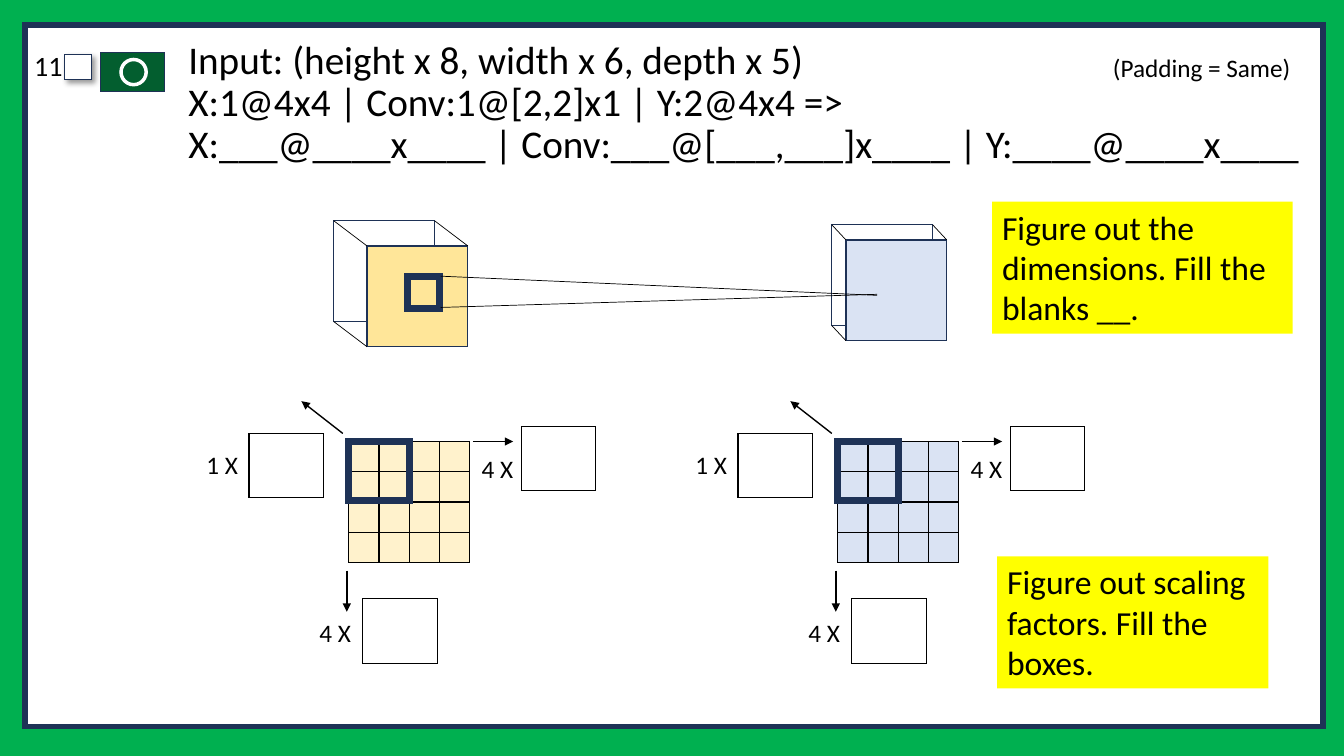
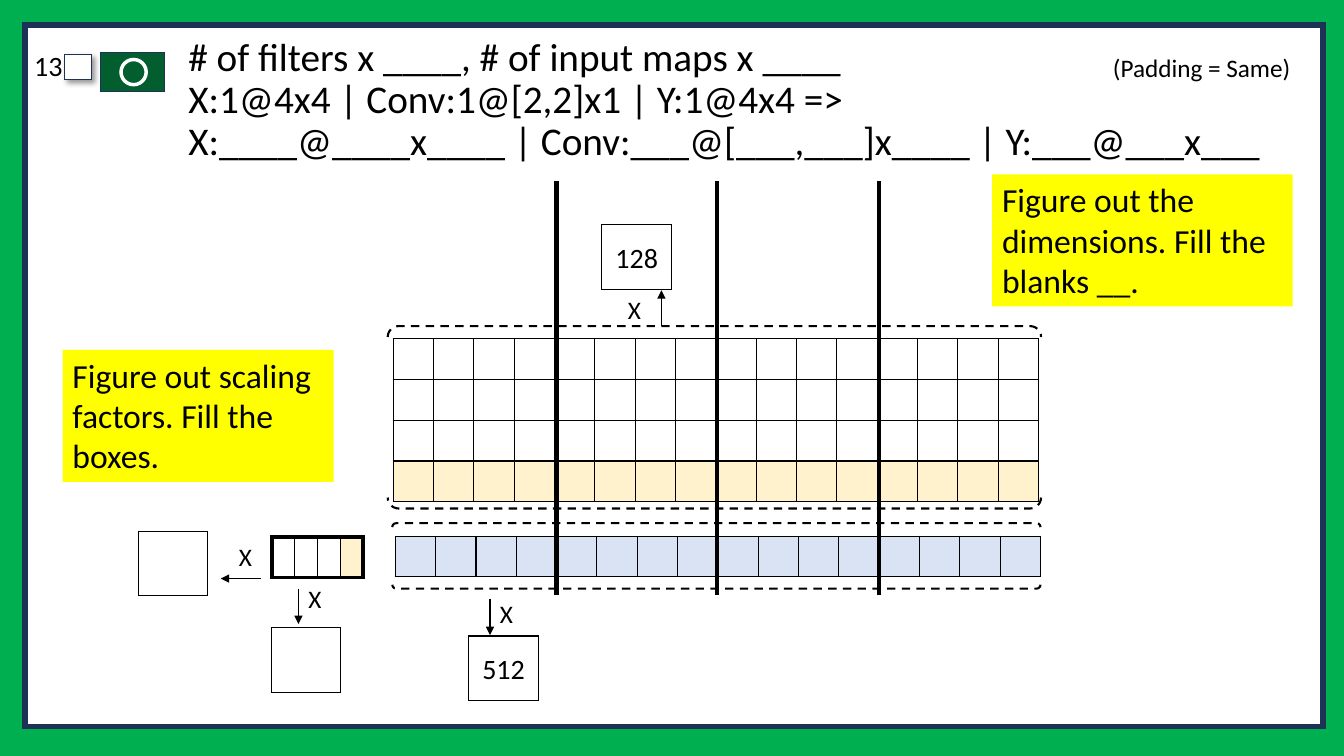
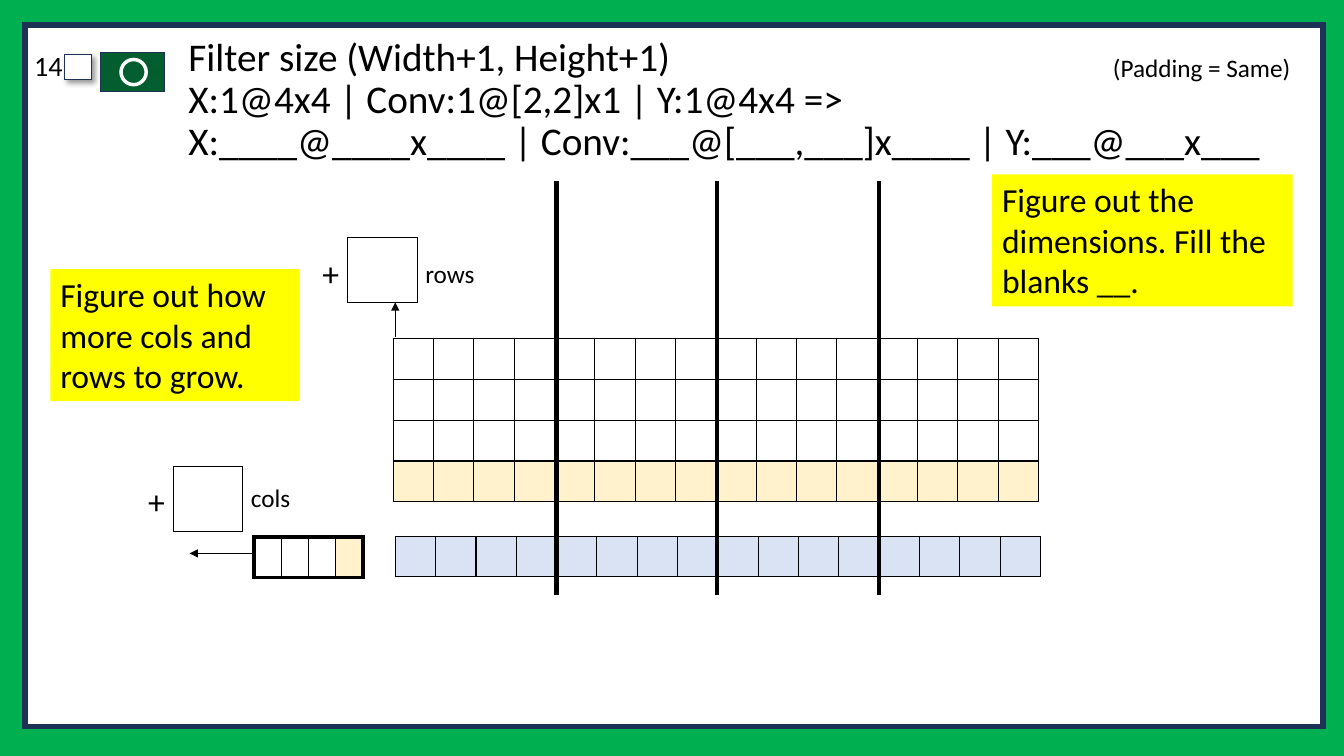
from dataclasses import dataclass

from lxml.etree import SubElement
from pptx import Presentation
from pptx.dml.color import RGBColor
from pptx.enum.dml import MSO_LINE
from pptx.enum.shapes import MSO_CONNECTOR, MSO_SHAPE
from pptx.enum.text import MSO_ANCHOR, PP_ALIGN
from pptx.oxml.ns import qn
from pptx.util import Emu, Pt

RECTANGLE, OVAL = MSO_SHAPE.RECTANGLE, MSO_SHAPE.OVAL
BRACKETS = MSO_SHAPE.DOUBLE_BRACKET
STRAIGHT = MSO_CONNECTOR.STRAIGHT
DASH = MSO_LINE.DASH
TOP, MIDDLE = MSO_ANCHOR.TOP, MSO_ANCHOR.MIDDLE
LEFT, CENTER, RIGHT = PP_ALIGN.LEFT, PP_ALIGN.CENTER, PP_ALIGN.RIGHT

PX = 9144  # EMU in one px, at 100 px to the inch
SLIDE_WIDTH, SLIDE_HEIGHT = 1333, 750


@dataclass(frozen=True)
class Theme:
    font: str = "Calibri"
    title_size: int = 28
    note_size: int = 24
    number_size: int = 20
    label_size: int = 18
    cell_size: int = 8
    green: str = "00B050"
    dark_green: str = "035E2F"
    navy: str = "1E3256"
    black: str = "000000"
    white: str = "FFFFFF"
    yellow: str = "FFFF00"
    gold: str = "FFE699"
    cream: str = "FFF2CC"
    pale_blue: str = "DAE3F3"


THEME = Theme()


def px(length):
    return Emu(length * PX)


def rgb(colour):
    return RGBColor.from_string(colour)


def set_fill(target, colour):
    if colour is None:
        target.fill.background()
    else:
        target.fill.solid()
        target.fill.fore_color.rgb = rgb(colour)


def write_text(shape, text, size=THEME.label_size, align=LEFT, anchor=TOP,
               wrap=True, spacing=None, margin_top=5):
    frame = shape.text_frame
    frame.word_wrap = wrap
    frame.vertical_anchor = anchor
    frame.margin_top = px(margin_top)
    paragraph = frame.paragraphs[0]
    paragraph.text = text
    paragraph.alignment = align
    paragraph.line_spacing = spacing
    for run in paragraph.runs:
        run.font.name = THEME.font
        run.font.size = Pt(size)
        run.font.color.rgb = rgb(THEME.black)


class Deck:
    def __init__(self):
        self.presentation = Presentation()
        self.presentation.slide_width = px(SLIDE_WIDTH)
        self.presentation.slide_height = px(SLIDE_HEIGHT)
        self.slide = None

    # Shared frame, badge, number and title
    def new_slide(self, number, title, title_box):
        self.slide = self.presentation.slides.add_slide(
            self.presentation.slide_layouts[6])
        set_fill(self.slide.background, THEME.green)
        self.shape(25, 25, 1287, 696, THEME.white, THEME.navy, 4)
        self.add_shadow(self.shape(64, 54, 27, 25, THEME.white, THEME.navy))
        self.shape(100, 52, 63, 39, THEME.dark_green, THEME.navy)
        self.shape(120, 59, 25, 25, THEME.dark_green, THEME.white, 2.5, OVAL)
        self.label(-2, 47, 74, 45, str(number), size=THEME.number_size,
                   align=RIGHT, spacing=0.9)
        self.label(*title_box, title, size=THEME.title_size, spacing=0.9,
                   margin_top=0)
        self.label(1094, 47, 198, 40, "(Padding = Same)", wrap=False)

    def shape(self, x, y, width, height, fill=None, line=None, weight=1,
              kind=RECTANGLE):
        shape = self.slide.shapes.add_shape(
            kind, px(x), px(y), px(width), px(height))
        shape.shadow.inherit = False
        set_fill(shape, fill)
        if line is None:
            shape.line.fill.background()
        else:
            shape.line.color.rgb = rgb(line)
            shape.line.width = Pt(weight)
            # Square corners
            SubElement(shape._element.spPr.find(qn("a:ln")), qn("a:miter"),
                       lim="800000")
        return shape

    def add_shadow(self, shape):
        effects = shape._element.spPr.find(qn("a:effectLst"))
        shadow = SubElement(effects, qn("a:outerShdw"), blurRad=str(Pt(4)),
                            dist=str(Pt(3)), dir="2700000", algn="tl",
                            rotWithShape="0")
        colour = SubElement(shadow, qn("a:srgbClr"), val=THEME.black)
        SubElement(colour, qn("a:alpha"), val="40000")

    def label(self, x, y, width, height, text, **text_format):
        box = self.slide.shapes.add_textbox(
            px(x), px(y), px(width), px(height))
        write_text(box, text, **text_format)

    def note(self, x, y, width, text):
        note = self.shape(x, y, width, 131, THEME.yellow)
        write_text(note, text, size=THEME.note_size)

    def answer_box(self, x, y, width=69, text=""):
        box = self.shape(x, y, width, 64, None, THEME.black, 0.75)
        if text:
            write_text(box, text, size=THEME.number_size, align=CENTER,
                       anchor=MIDDLE)

    def line(self, x1, y1, x2, y2, weight=0.5, arrow=False):
        connector = self.slide.shapes.add_connector(
            STRAIGHT, px(x1), px(y1), px(x2), px(y2))
        connector.line.color.rgb = rgb(THEME.black)
        connector.line.width = Pt(weight)
        if arrow:
            SubElement(connector._element.spPr.find(qn("a:ln")),
                       qn("a:tailEnd"), type="triangle")
        SubElement(connector._element.spPr, qn("a:effectLst"))

    def arrow(self, x1, y1, x2, y2):
        self.line(x1, y1, x2, y2, weight=1, arrow=True)

    def brackets(self, x, y, width, height):
        brackets = self.shape(x, y, width, height, None, THEME.black, 1.5,
                              BRACKETS)
        brackets.rotation = 90
        brackets.adjustments[0] = 0.06
        brackets.line.dash_style = DASH

    def grid(self, x, y, width, height, rows, columns, fill_of, outline=1):
        """Table of empty cells; fill_of(row, column) gives each colour."""
        table = self.slide.shapes.add_table(
            rows, columns, px(x), px(y), px(width), px(height)).table
        table.first_row = table.horz_banding = False
        for column in table.columns:
            column.width = px(width) // columns
        for row in table.rows:
            row.height = px(height) // rows
        for r in range(rows):
            for c in range(columns):
                cell = table.cell(r, c)
                cell.margin_left = cell.margin_right = 0
                cell.margin_top = cell.margin_bottom = 0
                SubElement(cell.text_frame.paragraphs[0]._p,
                           qn("a:endParaRPr"), sz=str(THEME.cell_size * 100))
                edges = {"lnL": c == 0, "lnR": c == columns - 1,
                         "lnT": r == 0, "lnB": r == rows - 1}
                for side, is_outer in edges.items():
                    self.cell_border(cell, side, outline if is_outer else 1)
                set_fill(cell, fill_of(r, c))

    def cell_border(self, cell, side, weight):
        border = SubElement(cell._tc.get_or_add_tcPr(), qn(f"a:{side}"),
                            w=str(Pt(weight)))
        fill = SubElement(border, qn("a:solidFill"))
        SubElement(fill, qn("a:srgbClr"), val=THEME.black)


FILL_BLANKS = "Figure out the dimensions. Fill the blanks __."
FILL_BOXES = "Figure out scaling factors. Fill the boxes."


def scaling_panel(deck, x, fill):
    """A 4x4 map with a 2x2 kernel and a blank factor for each direction."""
    deck.grid(x, 438, 120, 120, 4, 4, lambda row, column: fill)
    deck.shape(x, 438, 60, 59, None, THEME.navy, 5)
    # Width, height and depth arrows
    deck.arrow(x + 123, 438, x + 163, 438)
    deck.arrow(x - 2, 566, x - 2, 607)
    deck.arrow(x - 6, 430, x - 47, 398)
    # Factors
    for dx, y in ((171, 423), (14, 594), (-99, 430)):
        deck.answer_box(x + dx, y, 74)
    for dx, y, text in ((122, 445, "4 X"), (-39, 608, "4 X"),
                        (-151, 441, "1 X")):
        deck.label(x + dx, y, 60, 40, text)


def cube(deck, back, front, fill):
    """Two faces of 100 px joined at three corners."""
    deck.shape(*back, 100, 100, None, THEME.navy)
    deck.shape(*front, 100, 100, fill, THEME.navy)
    for dx, dy in ((0, 0), (100, 0), (0, 100)):
        deck.line(back[0] + dx, back[1] + dy, front[0] + dx, front[1] + dy)


def input_slide(deck):
    deck.new_slide(
        11,
        "Input: (height x 8, width x 6, depth x 5)\n"
        "X:1@4x4 | Conv:1@[2,2]x1 | Y:2@4x4 =>\n"
        "X:___@____x____ | Conv:___@[___,___]x____ | Y:____@____x____",
        (177, 40, 1173, 172))
    # Input and output volumes
    cube(deck, (331, 219), (364, 244), THEME.gold)
    cube(deck, (825, 223), (839, 238), THEME.pale_blue)
    deck.shape(404, 274, 32, 32, None, THEME.navy, 5)
    deck.line(437, 274, 870, 293)
    deck.line(437, 305, 870, 292)
    # Scaling of each map
    scaling_panel(deck, 346, THEME.cream)
    scaling_panel(deck, 831, THEME.pale_blue)
    deck.note(984, 200, 298, FILL_BLANKS)
    deck.note(989, 552, 269, FILL_BOXES)


def matrix_slide(deck, number, heading, filter_x):
    """Unrolled input above the output, with the filter on the left."""
    deck.new_slide(
        number,
        heading + "\nX:1@4x4 | Conv:1@[2,2]x1 | Y:1@4x4 =>\n"
        "X:____@____x____ | Conv:___@[___,___]x____ | Y:___@___x___",
        (177, 37, 1269, 169))
    deck.grid(390, 336, 640, 162, 4, 16,
              lambda row, column: THEME.cream if row == 3 else None)
    deck.grid(392, 532, 640, 40, 1, 16,
              lambda row, column: THEME.pale_blue)
    for x in (552, 711, 872):
        deck.line(x, 180, x, 590, weight=3)
    deck.grid(filter_x, 533, 360 - filter_x, 40, 1, 4,
              lambda row, column: THEME.cream if column == 3 else None,
              outline=3)
    deck.note(984, 173, 298, FILL_BLANKS)


def filter_count_slide(deck):
    matrix_slide(deck, 13, "# of filters x ____, # of input maps x ____", 270)
    deck.brackets(678, 230, 65, 643)
    deck.brackets(618, 90, 181, 648)
    # Factors
    for x, y in ((227, 532), (296, 574), (486, 589), (613, 287)):
        deck.label(x, y, 37, 40, "X")
    deck.arrow(259, 574, 219, 574)
    deck.arrow(296, 584, 296, 619)
    deck.arrow(486, 594, 486, 630)
    deck.arrow(656, 323, 656, 288)
    deck.answer_box(597, 223, text="128")
    deck.answer_box(465, 631, text="512")
    deck.answer_box(269, 623)
    deck.answer_box(137, 527)
    deck.note(62, 347, 269, FILL_BOXES)


def filter_size_slide(deck):
    matrix_slide(deck, 14, "Filter size (Width+1, Height+1)", 252)
    deck.arrow(392, 334, 392, 300)
    deck.arrow(252, 549, 188, 549)
    # Added rows and columns
    for x, y, plus_y, unit_y, unit in ((345, 236, 246, 251, "rows"),
                                       (172, 463, 472, 474, "cols")):
        deck.answer_box(x, y)
        deck.label(x - 35, plus_y, 34, 50, "+", size=THEME.note_size)
        deck.label(x + 67, unit_y, 80, 40, unit)
    deck.note(50, 267, 247, "Figure out how more cols and rows to grow.")


def main():
    deck = Deck()
    input_slide(deck)
    filter_count_slide(deck)
    filter_size_slide(deck)
    deck.presentation.save("out.pptx")


if __name__ == "__main__":
    main()
